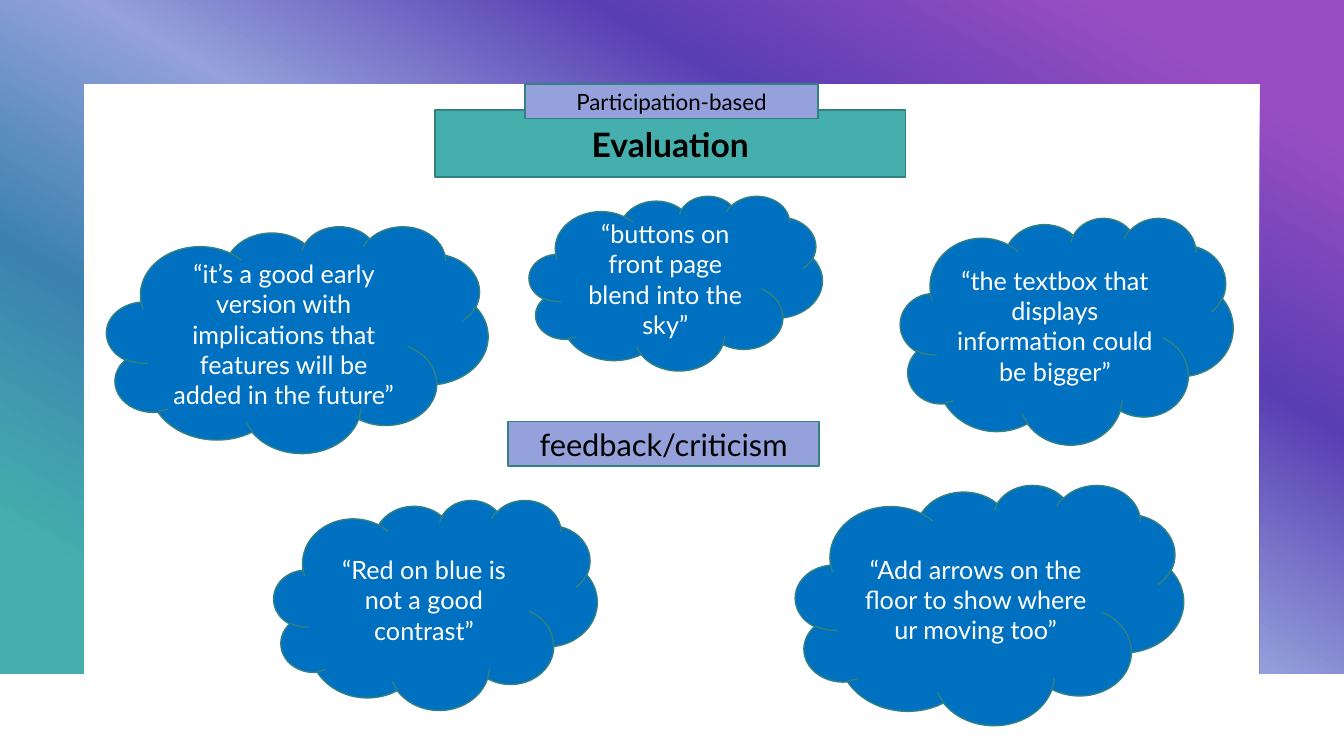
from lxml import etree
from pptx import Presentation
from pptx.dml.color import RGBColor
from pptx.enum.shapes import MSO_SHAPE
from pptx.enum.text import MSO_ANCHOR, PP_ALIGN
from pptx.oxml.ns import qn
from pptx.util import Inches, Pt

RECT, CLOUD = MSO_SHAPE.RECTANGLE, MSO_SHAPE.CLOUD
MIDDLE, CENTER = MSO_ANCHOR.MIDDLE, PP_ALIGN.CENTER
COLS, ROWS = 160, 90
UNIT = Inches(1 / 12)
FONT = "Lato"
TEAL, LILAC, BLUE, EDGE = "45AFAD", "94A1DB", "0070C0", "338180"
BLACK, WHITE = "000000", "FFFFFF"
STOPS = [(10, "994DC3"), (30, "593EB3"), (50, LILAC), (70, "3B82B1"), (90, TEAL)]

TITLES = [
    ("Evaluation", (51.8, 13.1, 56, 8), TEAL, {"size": Pt(24), "bold": True}),
    ("Participation-based", (62.5, 10, 34.9, 4.1), LILAC, {"size": Pt(16)}),
    ("feedback/criticism", (60.5, 50.2, 37, 5.3), LILAC, {"size": Pt(22)}),
]
QUOTES = [
    ("“it’s a good early version with implications that features will be added in the future”",
     (12.7, 26.9, 45.4, 27)),
    ("“Add arrows on the floor to show where ur moving too”", (94.7, 57.7, 46.2, 28.6)),
    ("“buttons on front page blend into the sky”", (63, 23.3, 34.9, 20.8)),
    ("“Red on blue is not a good contrast”", (32.6, 59.5, 38.5, 25)),
    ("“the textbox that displays information could be bigger”", (107.2, 25.9, 39.6, 27)),
]


def color(code):
    """Turn a hex string into a colour."""
    return RGBColor.from_string(code)


def blend(shape, stops, angle):
    """Fill a shape with a linear gradient of (percent, colour) stops."""
    shape.fill.gradient()
    shape.fill.gradient_angle = angle
    group = next(shape.element.iter(qn("a:gsLst")))
    for stop in list(group):
        group.remove(stop)
    for share, code in stops:
        stop = etree.SubElement(group, qn("a:gs"), pos=str(share * 1000))
        etree.SubElement(stop, qn("a:srgbClr"), val=code)


def frame(slide, box, band):
    """Draw the gradient arch, open at the bottom, along the edges of the box."""
    left, top, width, height = box
    right, base = left + width, top + height
    points = [(right, top), (right, base), (right - band, base),
              (right - band, top + band), (left + band, top + band),
              (left + band, base), (left, base)]
    pen = slide.shapes.build_freeform(left * UNIT, top * UNIT)
    pen.add_line_segments([(round(x * UNIT), round(y * UNIT)) for x, y in points])
    arch = pen.convert_to_shape()
    arch.shadow.inherit = False
    arch.line.fill.background()
    blend(arch, STOPS, 240)


def label(slide, kind, text, box, fill, ink, style):
    """Place an outlined shape with centred text in the box."""
    shape = slide.shapes.add_shape(kind, *(round(n * UNIT) for n in box))
    shape.shadow.inherit = False
    shape.fill.solid()
    shape.fill.fore_color.rgb = color(fill)
    shape.line.color.rgb = color(EDGE)
    shape.line.width = Pt(1)
    body = shape.text_frame
    body.word_wrap = True
    body.vertical_anchor = MIDDLE
    para = body.paragraphs[0]
    para.alignment = CENTER
    run = para.add_run()
    run.text = text
    run.font.color.rgb = color(ink)
    for name, value in {"name": FONT, **style}.items():
        setattr(run.font, name, value)


def main():
    """Build and save the feedback slide."""
    deck = Presentation()
    deck.slide_width, deck.slide_height = COLS * UNIT, ROWS * UNIT
    slide = deck.slides.add_slide(deck.slide_layouts[6])
    frame(slide, (0, 0, COLS, 80.2), 10)
    for text, box, fill, style in TITLES:
        label(slide, RECT, text, box, fill, BLACK, style)
    for text, box in QUOTES:
        label(slide, CLOUD, text, box, BLUE, WHITE, {"size": Pt(18)})
    deck.save("out.pptx")


if __name__ == "__main__":
    main()
